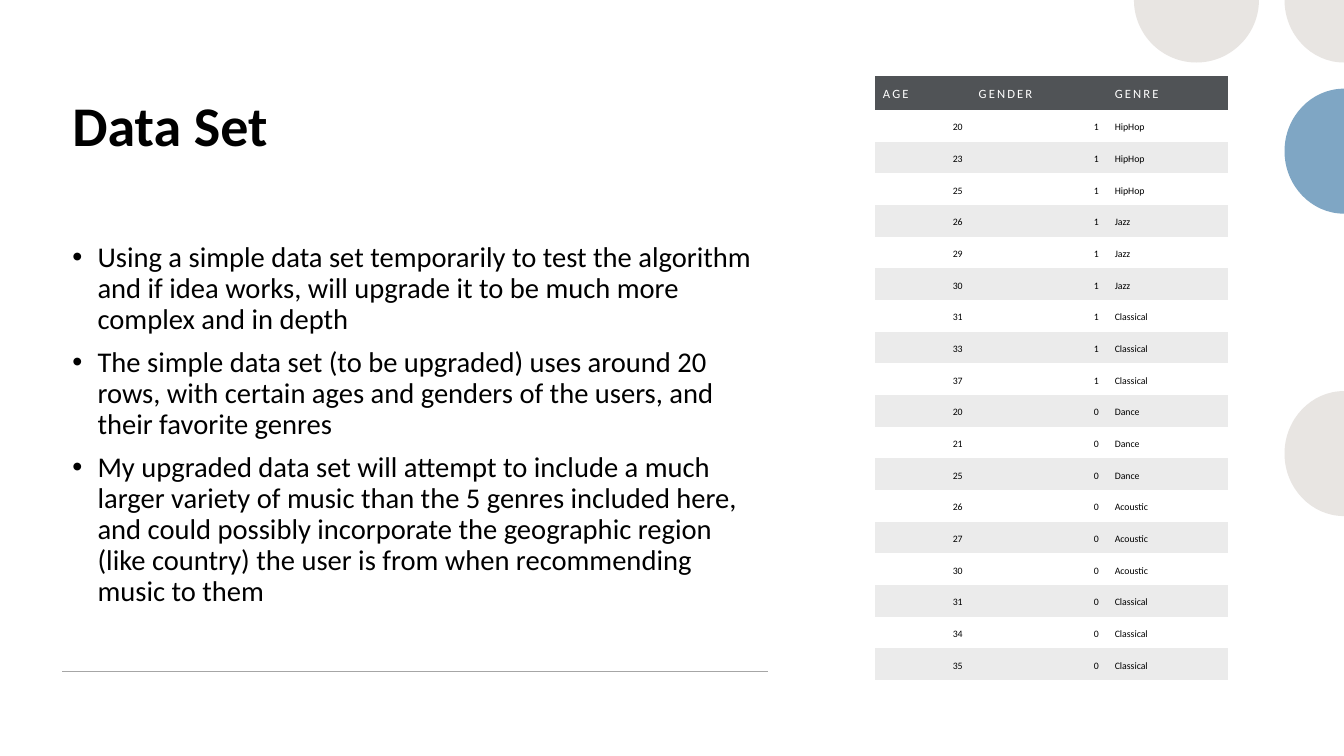
"""Build the Data Set slide: title, bullets, sample table and edge circles."""
from lxml import etree
from pptx import Presentation, util as u
from pptx.dml.color import RGBColor
from pptx.enum import shapes, text
from pptx.oxml.ns import qn

WIDTH, HEIGHT = 40 / 3, 7.5
FONT = "Calibri"
BLACK, WHITE, HEADER, BAND = "000000", "FFFFFF", "505356", "EBEBEB"
BEIGE, BLUE, RULE = "E8E5E2", "7FA6C4", "A6A6A6"
NO_STYLE = "{2D5ABB26-0587-4C30-8999-92F81FD0307C}"

TITLE = "Data Set"
BULLETS = [
    "Using a simple data set temporarily to test the algorithm and if idea works, "
    "will upgrade it to be much more complex and in depth",
    "The simple data set (to be upgraded) uses around 20 rows, with certain ages "
    "and genders of the users, and their favorite genres",
    "My upgraded data set will attempt to include a much larger variety of music "
    "than the 5 genres included here, and could possibly incorporate the geographic "
    "region (like country) the user is from when recommending music to them",
]
HEADINGS = ("AGE", "GENDER", "GENRE")
LISTENERS = [
    (1, "HipHop", (20, 23, 25)),
    (1, "Jazz", (26, 29, 30)),
    (1, "Classical", (31, 33, 37)),
    (0, "Dance", (20, 21, 25)),
    (0, "Acoustic", (26, 27, 30)),
    (0, "Classical", (31, 34, 35)),
]

RADIUS, EDGE_RADIUS, CURVE = 0.62, 0.59, 0.55
TOP_HALF, EDGE_HALF, CORNER = (0, 1, 2), (1, 2, 3), (1, 2)
CIRCLES = [
    (11.87, 0, RADIUS, TOP_HALF, BEIGE),
    (WIDTH, 4.5, EDGE_RADIUS, EDGE_HALF, BEIGE),
    (WIDTH, 1.5, EDGE_RADIUS, EDGE_HALF, BLUE),
    (WIDTH, 0, EDGE_RADIUS, CORNER, BEIGE),
]
COMPASS = [(1, 0), (0, 1), (-1, 0), (0, -1)]

LEFT, TEXT_WIDTH = 0.62, 7
TABLE_LEFT, TABLE_TOP, TABLE_HEIGHT = 8.68, 0.75, 6
COLUMN_WIDTHS, HEADER_HEIGHT, CELL_MARGIN = (0.95, 1.35, 1.2), 0.34, 0.08


def color(value):
    return RGBColor.from_string(value)


def style(paragraph, size, ink, bold=False):
    paragraph.font.name = FONT
    paragraph.font.size = u.Pt(size)
    paragraph.font.bold = bold
    paragraph.font.color.rgb = color(ink)


def add_text_frame(slide, top, height):
    box = slide.shapes.add_textbox(*map(u.Inches, (LEFT, top, TEXT_WIDTH, height)))
    box.text_frame.word_wrap = True
    return box.text_frame


def add_cut_circle(slide, center_x, center_y, radius_x, quarters, fill):
    units = [COMPASS[quarters[0]]]
    for start, end in zip(quarters, quarters[1:]):
        (ax, ay), (bx, by) = COMPASS[start], COMPASS[end]
        units += [(ax + CURVE * bx, ay + CURVE * by),
                  (bx + CURVE * ax, by + CURVE * ay), (bx, by)]
    points = [(u.Inches(center_x + x * radius_x), u.Inches(center_y + y * RADIUS))
              for x, y in units]
    corner = [(u.Inches(center_x), u.Inches(center_y))] if quarters == CORNER else []
    builder = slide.shapes.build_freeform(*points[0])
    builder.add_line_segments(points[1:] + corner, close=True)
    circle = builder.convert_to_shape()
    lines = list(circle._element.iter(qn("a:lnTo")))
    for first in range(0, len(points) - 1, 3):
        arc = etree.Element(qn("a:cubicBezTo"))
        lines[first].addprevious(arc)
        for line in lines[first:first + 3]:
            arc.append(line[0])
            line.getparent().remove(line)
    circle.shadow.inherit = False
    circle.fill.solid()
    circle.fill.fore_color.rgb = color(fill)
    circle.line.fill.background()


def add_bullets(slide):
    frame = add_text_frame(slide, 2.36, 3.94)
    for index, bullet in enumerate(BULLETS):
        paragraph = frame.paragraphs[0] if index == 0 else frame.add_paragraph()
        paragraph.text = bullet
        paragraph.line_spacing = 0.9
        paragraph.space_before = u.Pt(9)
        style(paragraph, 20.4, BLACK)
        properties = paragraph._p.get_or_add_pPr()
        properties.set("marL", str(u.Inches(0.25)))
        properties.set("indent", str(-u.Inches(0.25)))
        defaults = properties.find(qn("a:defRPr"))
        defaults.addprevious(etree.Element(qn("a:buFont"), typeface="Arial"))
        defaults.addprevious(etree.Element(qn("a:buChar"), char="\u2022"))


def add_listener_table(slide):
    rows = [HEADINGS] + [(age, gender, genre)
                         for gender, genre, ages in LISTENERS for age in ages]
    frame = slide.shapes.add_table(
        len(rows), len(HEADINGS),
        *map(u.Inches, (TABLE_LEFT, TABLE_TOP, sum(COLUMN_WIDTHS), TABLE_HEIGHT)))
    table = frame.table
    table.first_row = table.horz_banding = False
    table._tbl.tblPr.find(qn("a:tableStyleId")).text = NO_STYLE
    for column, width in zip(table.columns, COLUMN_WIDTHS):
        column.width = u.Inches(width)
    body_height = (TABLE_HEIGHT - HEADER_HEIGHT) / (len(rows) - 1)
    for row_index, values in enumerate(rows):
        heading = row_index == 0
        table.rows[row_index].height = u.Inches(HEADER_HEIGHT if heading else body_height)
        fill = HEADER if heading else (BAND if row_index % 2 == 0 else WHITE)
        for column_index, value in enumerate(values):
            cell = table.cell(row_index, column_index)
            cell.fill.solid()
            cell.fill.fore_color.rgb = color(fill)
            cell.vertical_anchor = text.MSO_ANCHOR.BOTTOM
            cell.margin_left = cell.margin_right = u.Inches(CELL_MARGIN)
            cell.margin_top = cell.margin_bottom = u.Inches(CELL_MARGIN)
            cell.text = str(value)
            paragraph = cell.text_frame.paragraphs[0]
            style(paragraph, 9 if heading else 7, WHITE if heading else BLACK)
            if heading:
                paragraph.runs[0].font._element.set("spc", "150")
            elif isinstance(value, int):
                paragraph.alignment = text.PP_ALIGN.RIGHT


presentation = Presentation()
presentation.slide_width, presentation.slide_height = u.Inches(WIDTH), u.Inches(HEIGHT)
slide = presentation.slides.add_slide(presentation.slide_layouts[6])

title_frame = add_text_frame(slide, 0.84, 1.39)
title_frame.margin_top = u.Inches(0.06)
title_frame.text = TITLE
style(title_frame.paragraphs[0], 40, BLACK, bold=True)
add_bullets(slide)

for circle in CIRCLES:
    add_cut_circle(slide, *circle)

rule = slide.shapes.add_connector(
    shapes.MSO_CONNECTOR.STRAIGHT, *map(u.Inches, (LEFT, 6.66, LEFT + TEXT_WIDTH, 6.66)))
rule.line.color.rgb = color(RULE)
rule.line.width = u.Pt(1)
etree.SubElement(rule._element.spPr, qn("a:effectLst"))

add_listener_table(slide)
presentation.save("out.pptx")
